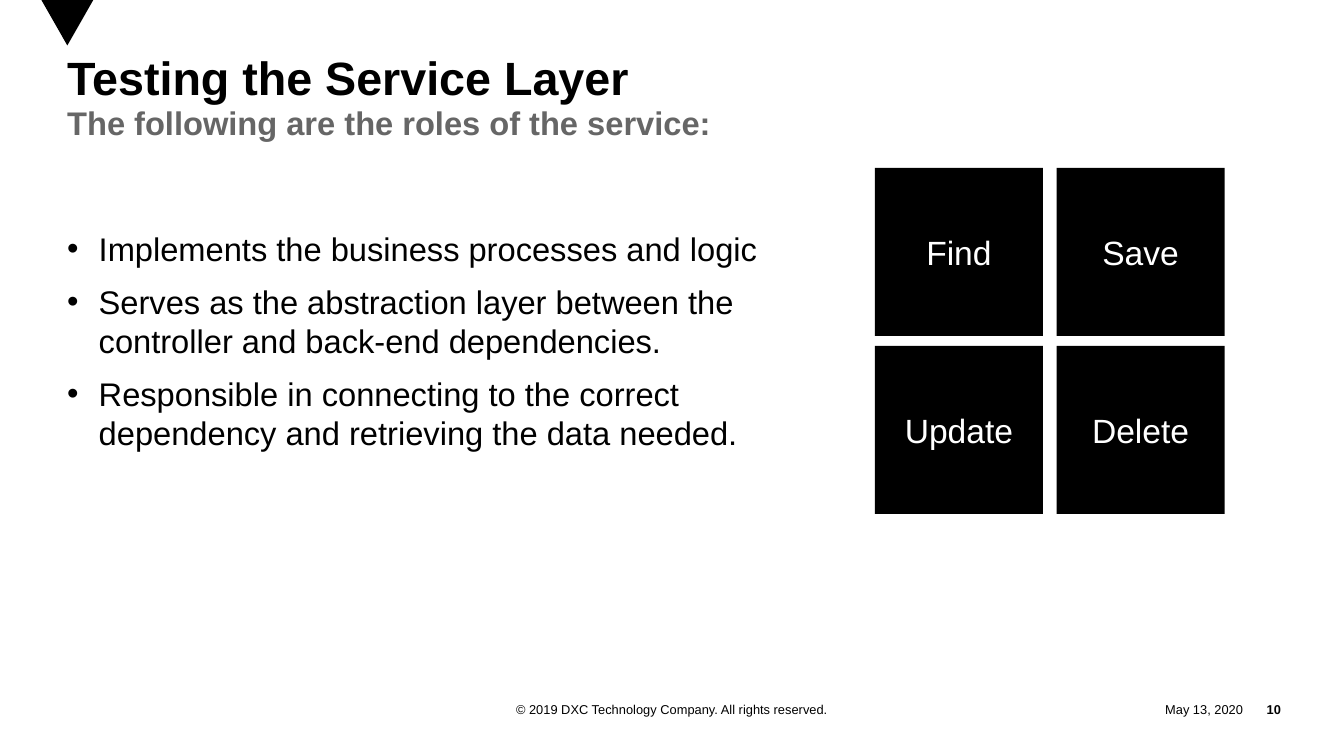
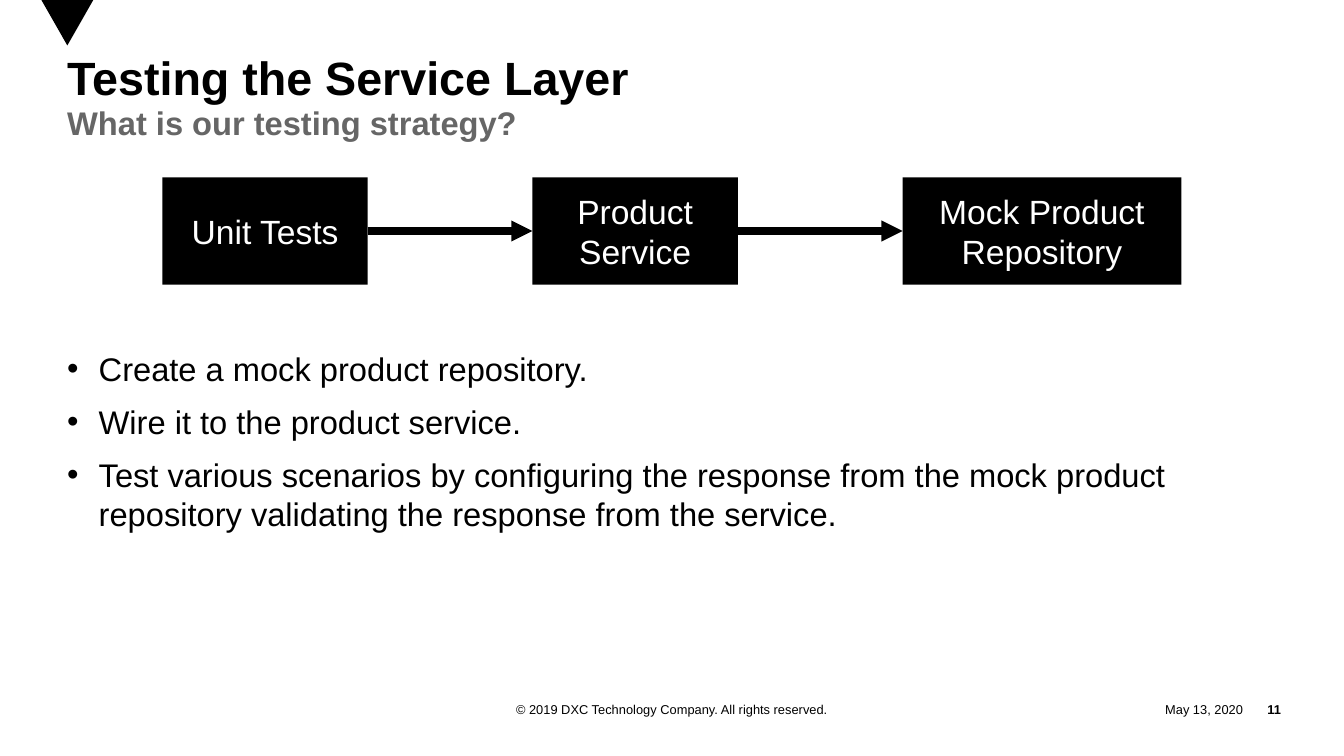
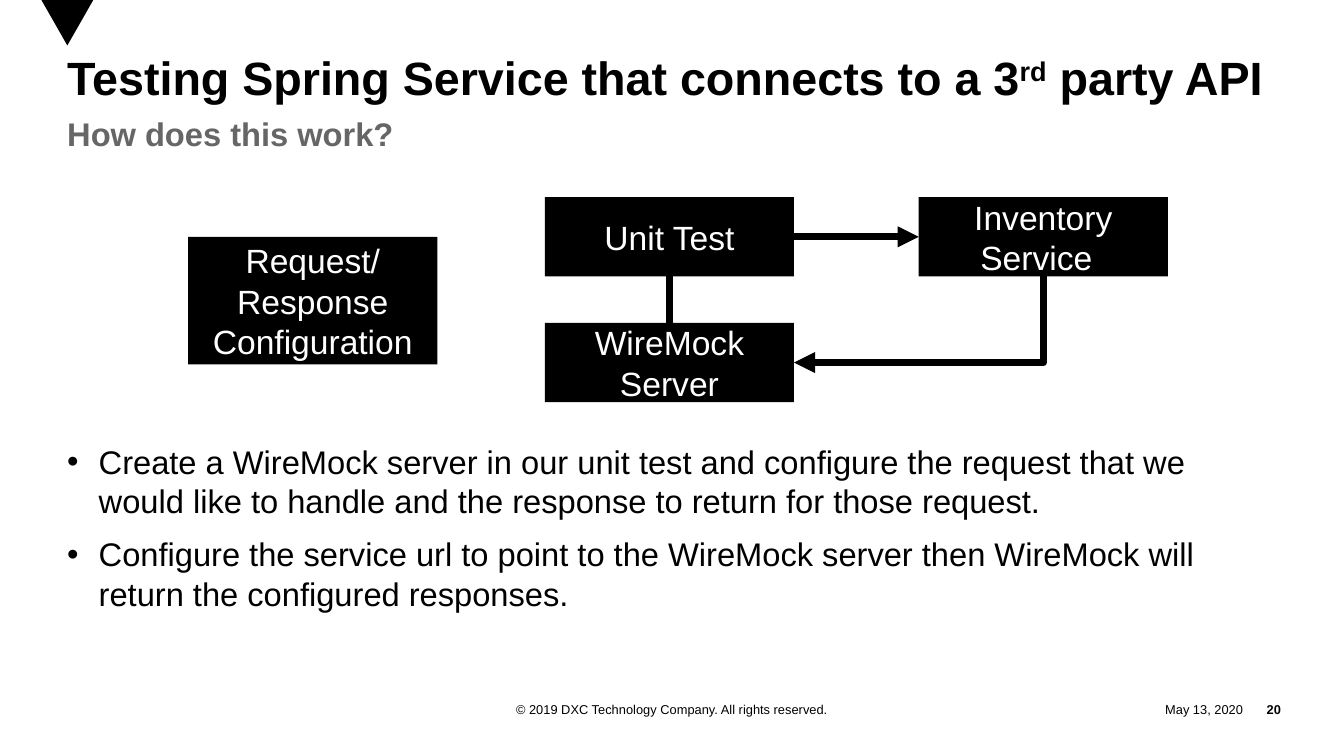
import pptx
import pptx.dml.color
import pptx.enum.shapes
import pptx.enum.text
import pptx.oxml
import pptx.oxml.ns
import pptx.util

Pt = pptx.util.Pt
Shape = pptx.enum.shapes.MSO_SHAPE
Link = pptx.enum.shapes.MSO_CONNECTOR
Align = pptx.enum.text.PP_ALIGN
Anchor = pptx.enum.text.MSO_ANCHOR
Fit = pptx.enum.text.MSO_AUTO_SIZE

BLACK, WHITE, GRAY = "000000", "FFFFFF", "666666"
LEFT, WIDE = 57.6, 1036.8
FOOT = {"y": 597, "h": 21.6}
FLAT = {
    "word_wrap": True, "auto_size": Fit.NONE, "vertical_anchor": Anchor.TOP,
    "margin_left": 0, "margin_top": 0, "margin_right": 0, "margin_bottom": 0,
}
MID = {**FLAT, "vertical_anchor": Anchor.MIDDLE}
BOX = {"word_wrap": True, "vertical_anchor": Anchor.MIDDLE}
HEAD = {"name": "Arial", "size": Pt(40), "bold": True}
SUB = {"name": "Arial", "size": Pt(28), "bold": True}
BODY = {"name": "Arial", "size": Pt(28), "bold": False}
LABEL = {"name": "Arial", "size": Pt(28.8)}
SMALL = {"name": "Arial", "size": Pt(11)}
NOTE = "© 2019 DXC Technology Company. All rights reserved."
DATE = "May 13, 2020"


def paint(fmt, tone):
    fmt.rgb = pptx.dml.color.RGBColor.from_string(tone)


def apply(item, vals):
    for key, val in vals.items():
        setattr(item, key, val)


def node(tag, **attrs):
    item = pptx.oxml.parse_xml(f"<a:{tag} {pptx.oxml.ns.nsdecls('a')}/>")
    for key, val in attrs.items():
        item.set(key, val)
    return item


def place(item, x, y, w, h):
    apply(item, {"left": Pt(x), "top": Pt(y), "width": Pt(w), "height": Pt(h)})


def write(frame, lines, look, font, tone=BLACK, para=None, gap=0):
    apply(frame, look)
    for i, line in enumerate(lines):
        par = frame.paragraphs[0] if i == 0 else frame.add_paragraph()
        apply(par, {"space_before": Pt(gap if i else 0), **(para or {})})
        for j, text in enumerate(line.split("^")):
            run = par.add_run()
            run.text = text
            apply(run.font, font)
            paint(run.font.color, tone)
            if j % 2:
                run.font._element.set("baseline", "30000")


def fill(shape, tone):
    shape.shadow.inherit = False
    shape.fill.solid()
    paint(shape.fill.fore_color, tone)
    shape.line.fill.background()


def label(slide, text, x, w, align, bold=False):
    box = slide.shapes.add_textbox(Pt(x), Pt(FOOT["y"]), Pt(w), Pt(FOOT["h"]))
    write(box.text_frame, [text], MID, {**SMALL, "bold": bold}, para={"alignment": align})


def frame(deck, num, title, sub, drop=88.5):
    slide = deck.slides.add_slide(deck.slide_layouts.get_by_name("Two Content"))
    mark = slide.shapes.add_shape(Shape.FLOWCHART_MERGE, Pt(35.5), Pt(0), Pt(44.5), Pt(39))
    fill(mark, BLACK)
    label(slide, DATE, 936.7, 128.9, Align.RIGHT)
    label(slide, num, 1065.6, 32.4, Align.RIGHT, True)
    label(slide, NOTE, 378, 396, Align.CENTER)
    head = slide.shapes.title
    place(head, LEFT, 49, WIDE, 39)
    write(head.text_frame, [title], FLAT, HEAD,
          para={"alignment": Align.LEFT, "line_spacing": 0.85})
    lead = slide.placeholders[1]
    place(lead, LEFT, drop, WIDE, 36)
    props = lead.text_frame.paragraphs[0]._p.get_or_add_pPr()
    props.set("marL", "0")
    props.set("indent", "0")
    props.append(node("buNone"))
    write(lead.text_frame, [sub], FLAT, SUB, GRAY)
    return slide


def points(slide, lines, y, w, h):
    body = slide.placeholders[2]
    place(body, LEFT, y, w, h)
    write(body.text_frame, lines, FLAT, BODY, gap=12)


def block(slide, text, x, y, w, h):
    box = slide.shapes.add_shape(Shape.RECTANGLE, Pt(x), Pt(y), Pt(w), Pt(h))
    fill(box, BLACK)
    write(box.text_frame, text.split("\n"), BOX, LABEL, WHITE,
          {"alignment": Align.CENTER})
    return box


def join(slide, start, out, end, into, arrow=True, kind=Link.STRAIGHT):
    line = slide.shapes.add_connector(kind, 0, 0, 0, 0)
    line.begin_connect(start, out)
    line.end_connect(end, into)
    line.line.width = Pt(6)
    line.line.fill.solid()
    paint(line.line.fill.fore_color, BLACK)
    if arrow:
        line.line._get_or_add_ln().append(node("tailEnd", type="triangle"))
    line._element.spPr.append(node("effectLst"))
    return line


def bend(slide, start, end):
    line = join(slide, start, 2, end, 3, kind=Link.ELBOW)
    x, y, w, h = line.left, line.top, line.width, line.height
    props = line._element.spPr
    props.prstGeom.set("prst", "bentConnector2")
    props.xfrm.attrib.pop("flipH", None)
    props.xfrm.set("rot", "5400000")
    apply(line, {"left": x + (w - h) // 2, "top": y + (h - w) // 2,
                 "width": h, "height": w})


def grid(slide, names, x, y, side, across, down):
    for i, name in enumerate(names):
        row, col = divmod(i, 2)
        block(slide, name, x + col * (side + across), y + row * (side + down), side, side)


def chain(slide, items, x, y, h, gap):
    last = None
    for name, w in items:
        box = block(slide, name, x, y, w, h)
        if last is not None:
            join(slide, last, 3, box, 1)
        last = box
        x += w + gap


def flow(slide, x, y, w, h, across, down):
    far = x + w + across
    test = block(slide, "Unit Test", x, y, w, h)
    mock = block(slide, "WireMock Server", x, y + h + down, w, h)
    stock = block(slide, "Inventory Service\t", far, y, w, h)
    block(slide, "Request/\nResponse Configuration", x - 305.7, y + h / 2, w, 109.4)
    join(slide, test, 3, stock, 1)
    join(slide, test, 2, mock, 0, arrow=False)
    bend(slide, stock, mock)


def roles(deck):
    slide = frame(deck, "10", "Testing the Service Layer",
                  "The following are the roles of the service:")
    points(slide, [
        "Implements the business processes and logic",
        "Serves as the abstraction layer between the controller and back-end dependencies.",
        "Responsible in connecting to the correct dependency and retrieving the data needed.",
    ], 195.8, 655, 201)
    grid(slide, ["Find", "Save", "Update", "Delete"], 750, 144, 144, 11.7, 8.6)


def plan(deck):
    slide = frame(deck, "11", "Testing the Service Layer", "What is our testing strategy?")
    chain(slide, [("Unit Tests", 176), ("Product Service", 176),
                  ("Mock Product Repository", 239)], 139.2, 152, 92, 141.2)
    points(slide, [
        "Create a mock product repository.",
        "Wire it to the product service.",
        "Test various scenarios by configuring the response from the mock product "
        "repository validating the response from the service.",
    ], 298.8, WIDE, 277)


def remote(deck):
    slide = frame(deck, "20", "Testing Spring Service that connects to a 3^rd^ party API",
                  "How does this work?", 97.2)
    points(slide, [
        "Create a WireMock server in our unit test and configure the request that we "
        "would like to handle and the response to return for those request.",
        "Configure the service url to point to the WireMock server then WireMock will "
        "return the configured responses.",
    ], 378.7, WIDE, 197)
    flow(slide, 467, 169, 213.6, 68, 106.9, 39.8)


def main():
    deck = pptx.Presentation()
    apply(deck, {"slide_width": Pt(1152), "slide_height": Pt(648)})
    for make in (roles, plan, remote):
        make(deck)
    deck.save("out.pptx")


if __name__ == "__main__":
    main()
